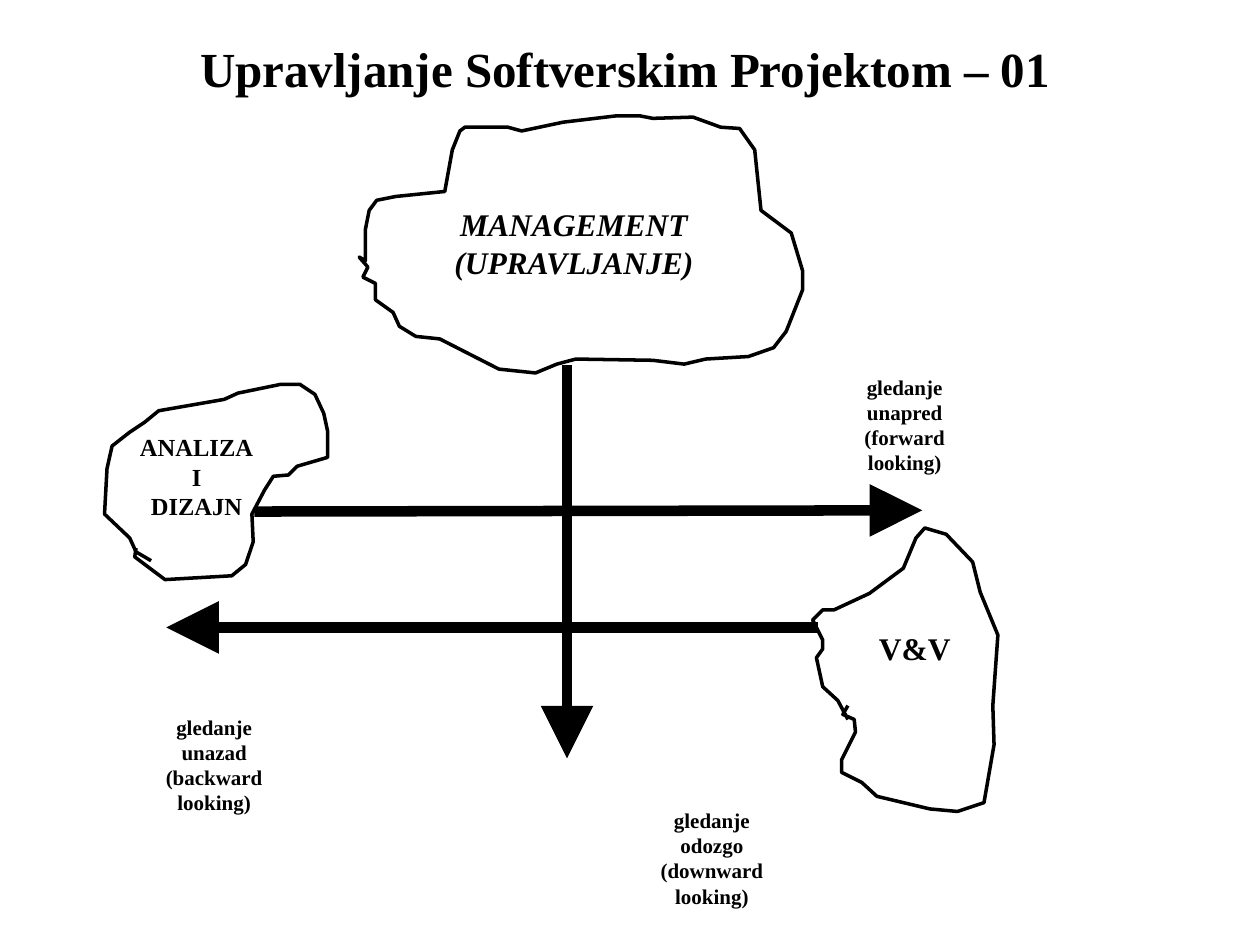
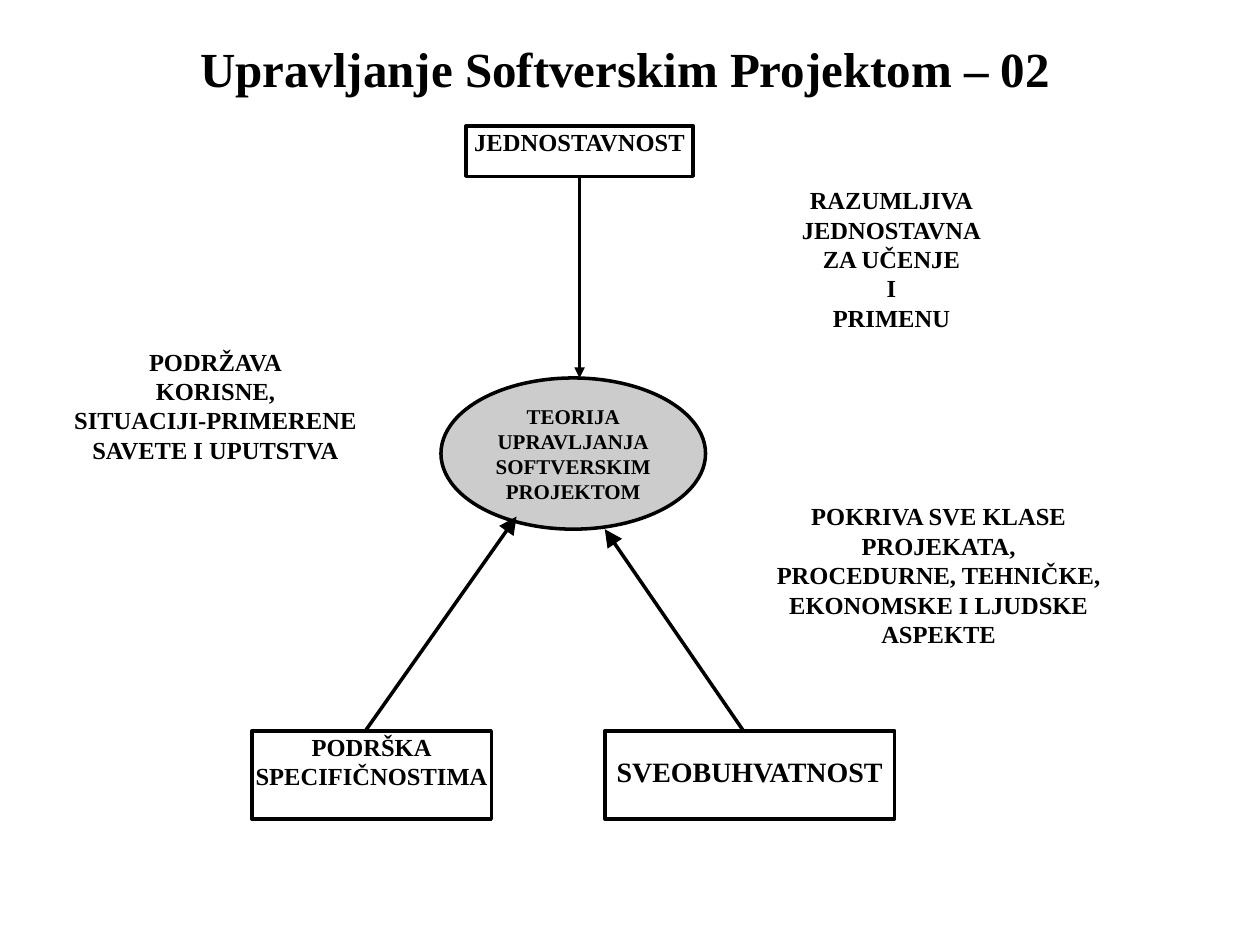
import pptx
import pptx.dml.color
import pptx.enum.shapes
import pptx.enum.text
import pptx.oxml.ns
import pptx.util
import lxml.etree

Inches = pptx.util.Inches
Pt = pptx.util.Pt
Shape = pptx.enum.shapes.MSO_SHAPE
Anchor = pptx.enum.text.MSO_ANCHOR
qn = pptx.oxml.ns.qn

BLACK = pptx.dml.color.RGBColor(0x00, 0x00, 0x00)
GREY = pptx.dml.color.RGBColor(0xCC, 0xCC, 0xCC)
OUTLINE_WIDTH = 2
VIEW_ARROW_WIDTH = 6
LINE_SPACING = 1.2
CAPTION_WIDTH = 1.18
FONT = {"name": "Times New Roman", "bold": True}
FRAME = {
    "word_wrap": True,
    "margin_left": Inches(0.01),
    "margin_right": Inches(0.01),
    "margin_top": Inches(0.01),
    "margin_bottom": Inches(0.01),
}


def write_text(box, lines, size, anchor=Anchor.TOP, italic=False):
    frame = box.text_frame
    for name, value in {**FRAME, "vertical_anchor": anchor}.items():
        setattr(frame, name, value)
    for index, line in enumerate(lines):
        para = frame.paragraphs[0] if index == 0 else frame.add_paragraph()
        para.alignment = pptx.enum.text.PP_ALIGN.CENTER
        span = para.add_run()
        span.text = line
        for name, value in {**FONT, "size": Pt(size), "italic": italic}.items():
            setattr(span.font, name, value)
        span.font.color.rgb = BLACK


def draw_arrow(page, begin, end, width, head="lg"):
    arrow = page.shapes.add_connector(
        pptx.enum.shapes.MSO_CONNECTOR.STRAIGHT, *map(Inches, begin + end))
    arrow.line.color.rgb = BLACK
    arrow.line.width = Pt(width)
    lxml.etree.SubElement(
        arrow.line._get_or_add_ln(), qn("a:tailEnd"), type="triangle", w=head, len=head)
    lxml.etree.SubElement(arrow._element.spPr, qn("a:effectLst"))
    return arrow


deck = pptx.Presentation()
deck.slide_width = Inches(10)
deck.slide_height = Inches(7.5)

pages = []
for number in ("01", "02"):
    page = deck.slides.add_slide(deck.slide_layouts[5])
    title = page.shapes.title
    title.left, title.top, title.width, title.height = map(Inches, (0.42, 0.25, 9.08, 0.57))
    write_text(title, [f"Upravljanje Softverskim Projektom – {number}"], 28, Anchor.MIDDLE)
    pages.append(page)
views_page, theory_page = pages

cloud_corners = {
    "management": [
        (2.85, 2.04), (2.9, 2.07), (2.9, 1.82), (2.93, 1.67), (2.99, 1.59), (3.14, 1.56),
        (3.53, 1.52), (3.59, 1.19), (3.65, 1.04), (3.69, 1.01), (4.03, 1.01), (4.14, 1.04),
        (4.47, 0.97), (4.89, 0.92), (5.08, 0.92), (5.18, 0.94), (5.5, 0.93), (5.72, 1.01),
        (5.87, 1.02), (5.99, 1.19), (6.04, 1.67), (6.28, 1.85), (6.37, 2.15), (6.37, 2.3),
        (6.24, 2.63), (6.14, 2.76), (5.94, 2.83), (5.6, 2.85), (5.43, 2.89), (5.18, 2.86),
        (4.57, 2.85), (4.42, 2.89), (4.25, 2.96), (3.96, 2.93), (3.49, 2.69), (3.3, 2.67),
        (3.17, 2.59), (3.12, 2.48), (2.98, 2.38), (2.98, 2.25), (2.88, 2.2), (2.92, 2.12),
    ],
    "analysis": [
        (1.2, 4.45), (1.08, 4.38), (1.03, 4.27), (0.83, 4.08), (0.85, 3.72), (0.89, 3.54),
        (1.03, 3.43), (1.15, 3.35), (1.26, 3.26), (1.78, 3.17), (1.89, 3.12), (2.23, 3.05),
        (2.38, 3.05), (2.5, 3.13), (2.57, 3.28), (2.6, 3.42), (2.6, 3.63), (2.36, 3.7),
        (2.29, 3.77), (2.17, 3.78), (2.1, 3.89), (2, 4.08), (2.01, 4.3), (1.95, 4.48),
        (1.84, 4.57), (1.31, 4.6), (1.15, 4.48), (1.07, 4.42), (1.08, 4.35),
    ],
    "verification": [
        (6.73, 5.71), (6.65, 5.56), (6.53, 5.45), (6.48, 5.22), (6.53, 5.15), (6.53, 5.08),
        (6.45, 4.92), (6.53, 4.84), (6.62, 4.84), (6.9, 4.71), (7.17, 4.51), (7.27, 4.27),
        (7.34, 4.19), (7.51, 4.24), (7.72, 4.46), (7.78, 4.7), (7.92, 5.04), (7.88, 5.6),
        (7.89, 5.91), (7.81, 6.37), (7.6, 6.44), (7.38, 6.42), (6.96, 6.32), (6.84, 6.21),
        (6.68, 6.13), (6.68, 6.03), (6.79, 5.81), (6.78, 5.71), (6.69, 5.67), (6.73, 5.6),
    ],
}
for part, corners in cloud_corners.items():
    start, *others = [(Inches(x), Inches(y)) for x, y in corners]
    builder = views_page.shapes.build_freeform(*start)
    builder.add_line_segments(others, close=part == "management")
    cloud = builder.convert_to_shape()
    cloud.shadow.inherit = False
    cloud.fill.background()
    cloud.line.color.rgb = BLACK
    cloud.line.width = Pt(OUTLINE_WIDTH)

view_arrows = {
    "downward": ((4.5, 2.9), (4.5, 6.02)),
    "forward": ((2.02, 4.06), (7.32, 4.05)),
    "backward": ((6.49, 4.98), (1.32, 4.98)),
}
for begin, end in view_arrows.values():
    draw_arrow(views_page, begin, end, VIEW_ARROW_WIDTH)

labels = [
    (views_page, 3.32, 1.62, 2.47, 18, ["MANAGEMENT", "(UPRAVLJANJE)"]),
    (views_page, 0.97, 3.42, 1.18, 14, ["ANALIZA", "I", "DIZAJN"]),
    (views_page, 6.85, 4.98, 0.82, 18, ["V&V"]),
    (theory_page, 5.98, 1.46, 2.19, 14,
     ["RAZUMLJIVA", "JEDNOSTAVNA", "ZA UČENJE", "I", "PRIMENU"]),
    (theory_page, 0.5, 2.74, 2.42, 14,
     ["PODRŽAVA", "KORISNE,", "SITUACIJI-PRIMERENE", "SAVETE I UPUTSTVA"]),
    (theory_page, 5.9, 3.97, 3.1, 14,
     ["POKRIVA SVE KLASE PROJEKATA,", "PROCEDURNE, TEHNIČKE,",
      "EKONOMSKE I LJUDSKE", "ASPEKTE"]),
]
for direction, view, left, top in (
    ("unapred", "forward", 6.59, 2.96),
    ("unazad", "backward", 1.11, 5.66),
    ("odozgo", "downward", 5.06, 6.4),
):
    caption = ["gledanje", direction, f"({view}", "looking)"]
    labels.append((views_page, left, top, CAPTION_WIDTH, 12, caption))

for page, left, top, width, size, lines in labels:
    height = Pt(size * LINE_SPACING * len(lines))
    label = page.shapes.add_textbox(Inches(left), Inches(top), Inches(width), height)
    write_text(label, lines, size, italic="MANAGEMENT" in lines)

nodes = {}
for name, kind, place, size, anchor, lines in (
    ("theory", Shape.OVAL, (3.5, 3, 2.1, 1.2), 12, Anchor.MIDDLE,
     ["TEORIJA", "UPRAVLJANJA", "SOFTVERSKIM", "PROJEKTOM"]),
    ("simplicity", Shape.RECTANGLE, (3.7, 1, 1.8, 0.4), 14, Anchor.TOP, ["JEDNOSTAVNOST"]),
    ("support", Shape.RECTANGLE, (2, 5.8, 1.9, 0.7), 14, Anchor.TOP,
     ["PODRŠKA", "SPECIFIČNOSTIMA"]),
    ("coverage", Shape.RECTANGLE, (4.8, 5.8, 2.3, 0.7), 16, Anchor.MIDDLE,
     ["SVEOBUHVATNOST"]),
):
    node = theory_page.shapes.add_shape(kind, *map(Inches, place))
    node.shadow.inherit = False
    node.fill.background()
    node.line.color.rgb = BLACK
    node.line.width = Pt(OUTLINE_WIDTH)
    write_text(node, lines, size, anchor)
    nodes[name] = node
nodes["theory"].fill.solid()
nodes["theory"].fill.fore_color.rgb = GREY
nodes["coverage"].text_frame.margin_bottom = Inches(0.06)

simplicity_arrow = draw_arrow(theory_page, (4.6, 1.4), (4.6, 3), OUTLINE_WIDTH, "med")
simplicity_arrow.begin_connect(nodes["simplicity"], 2)
for begin, end in (((2.9, 5.8), (4.1, 4.1)), ((5.9, 5.8), (4.8, 4.2))):
    draw_arrow(theory_page, begin, end, OUTLINE_WIDTH)

deck.save("out.pptx")
